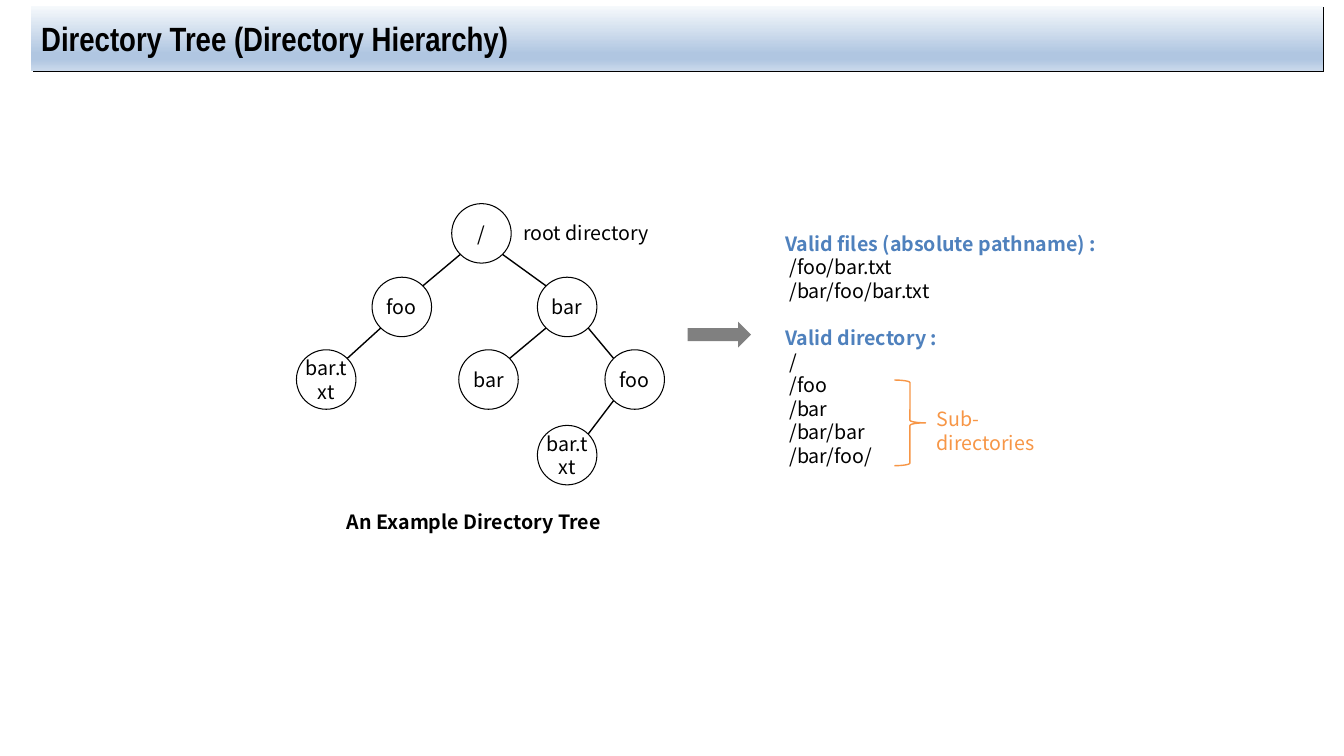
from dataclasses import dataclass
from math import sqrt

from lxml.etree import SubElement
from pptx import Presentation
from pptx.dml.color import RGBColor as RGB
from pptx.enum.shapes import MSO_CONNECTOR as LINK, MSO_SHAPE as FORM
from pptx.enum.text import MSO_ANCHOR as ANCHOR, PP_ALIGN as ALIGN
from pptx.oxml import parse_xml
from pptx.oxml.ns import nsdecls, qn
from pptx.util import Inches, Pt


@dataclass(frozen=True)
class Theme:
    black: str = "000000"
    white: str = "FFFFFF"
    blue: str = "4F81BD"
    orange: str = "F79646"
    gray: str = "808080"
    band: tuple = ((0, "F6F9FC"), (74, "B0C6E1"), (83, "B0C6E1"), (100, "CAD9EB"))
    font: str = "Noto Sans CJK KR"
    head: str = "Arial Narrow"
    size: int = 14
    title: int = 24
    thin: float = 0.75
    line: float = 1


T = Theme()
SIDE = 0.59
NODES = {
    "root": ("/", 4.48, 2.02),
    "foo": ("foo", 3.69, 2.75),
    "foo file": ("bar.txt", 2.94, 3.47),
    "bar": ("bar", 5.33, 2.75),
    "bar foo": ("foo", 6, 3.47),
    "bar bar": ("bar", 4.55, 3.47),
    "bar foo file": ("bar.txt", 5.33, 4.22),
}
EDGES = [
    ("root", "foo"), ("foo", "foo file"), ("bar", "bar bar"),
    ("bar foo", "bar foo file"), ("bar", "bar foo"), ("root", "bar"),
]
PATHS = {
    "Valid files (absolute pathname) :": ["/foo/bar.txt", "/bar/foo/bar.txt"],
    "Valid directory :": ["/", "/foo", "/bar", "/bar/bar", "/bar/foo/"],
}


def apply(item, form):
    for name, value in form.items():
        setattr(item, name, value)


def write(para, text, color=T.black, **form):
    run = para.add_run()
    run.text = text
    apply(run.font, {"name": T.font, "size": Pt(T.size), "bold": False, **form})
    run.font.color.rgb = RGB.from_string(color)


def add_form(slide, kind, box, fill=None, line=None, width=T.line):
    shape = slide.shapes.add_shape(kind, *map(Inches, box))
    shape.shadow.inherit = False
    if fill:
        shape.fill.solid()
        shape.fill.fore_color.rgb = RGB.from_string(fill)
    else:
        shape.fill.background()
    if line:
        shape.line.color.rgb = RGB.from_string(line)
        shape.line.width = Pt(width)
    else:
        shape.line.fill.background()
    return shape


def add_text(slide, box):
    frame = slide.shapes.add_textbox(*map(Inches, box)).text_frame
    frame.word_wrap = True
    return frame


def add_label(slide, box, text, color=T.black, align=ALIGN.LEFT, **form):
    para = add_text(slide, box).paragraphs[0]
    para.alignment = align
    write(para, text, color, **form)


def add_title(slide, text):
    bar = add_form(slide, FORM.RECTANGLE, (0.31, 0.06, 12.81, 0.64), T.white)
    stops = "".join(
        f'<a:gs pos="{pos * 1000}"><a:srgbClr val="{color}"/></a:gs>'
        for pos, color in T.band
    )
    grad = parse_xml(
        f'<a:gradFill {nsdecls("a")} rotWithShape="1"><a:gsLst>{stops}</a:gsLst>'
        '<a:lin ang="5400000" scaled="0"/></a:gradFill>'
    )
    props = bar._element.spPr
    props.replace(props.find(qn("a:solidFill")), grad)
    shade = SubElement(
        props.find(qn("a:effectLst")), qn("a:outerShdw"),
        dist=str(Pt(1.4)), dir="2700000", algn="ctr", rotWithShape="0",
    )
    SubElement(shade, qn("a:srgbClr"), val=T.black)
    frame = bar.text_frame
    frame.vertical_anchor = ANCHOR.MIDDLE
    para = frame.paragraphs[0]
    para.alignment = ALIGN.LEFT
    write(para, text, name=T.head, size=Pt(T.title), bold=True)


def add_node(slide, text, left, top):
    node = add_form(
        slide, FORM.OVAL, (left, top, SIDE, SIDE), T.white, T.black, T.thin
    )
    frame = node.text_frame
    apply(frame, {
        "margin_left": 0, "margin_right": 0,
        "vertical_anchor": ANCHOR.MIDDLE, "word_wrap": True,
    })
    frame.paragraphs[0].alignment = ALIGN.CENTER
    write(frame.paragraphs[0], text)


def add_edge(slide, upper, lower):
    _, left, top = NODES[upper]
    _, end, base = NODES[lower]
    mid = SIDE / 2
    reach = mid / sqrt(2)
    shift = reach if end > left else -reach
    points = (left + mid + shift, top + mid + reach,
              end + mid - shift, base + mid - reach)
    edge = slide.shapes.add_connector(LINK.STRAIGHT, *map(Inches, points))
    edge.line.color.rgb = RGB.from_string(T.black)
    edge.line.width = Pt(T.line)
    SubElement(edge._element.spPr, qn("a:effectLst"))


def add_paths(slide, box):
    frame = add_text(slide, box)
    for order, (head, paths) in enumerate(PATHS.items()):
        para = frame.add_paragraph() if order else frame.paragraphs[0]
        if order:
            para.space_before = Pt(T.size * 1.2)
        write(para, head, T.blue, bold=True)
        for text in paths:
            para = frame.add_paragraph()
            para._p.get_or_add_pPr().set("marL", str(Inches(0.04)))
            write(para, text)


def main():
    deck = Presentation()
    apply(deck, {"slide_width": Inches(13.33), "slide_height": Inches(7.5)})
    slide = deck.slides.add_slide(deck.slide_layouts[6])
    add_title(slide, "Directory Tree (Directory Hierarchy)")
    for node in NODES.values():
        add_node(slide, *node)
    for edge in EDGES:
        add_edge(slide, *edge)
    add_label(slide, (2.89, 5.01, 3.62, 0.34), "An Example Directory Tree",
              align=ALIGN.CENTER, bold=True)
    add_label(slide, (5.09, 2.14, 1.5, 0.34), "root directory")
    add_paths(slide, (7.69, 2.25, 3.39, 2.69))
    add_form(slide, FORM.RIGHT_ARROW, (6.82, 3.19, 0.63, 0.26), T.gray)
    add_form(slide, FORM.RIGHT_BRACE, (8.87, 3.77, 0.31, 0.85), line=T.orange)
    add_label(slide, (9.19, 3.99, 1.57, 0.34), "Sub-directories", T.orange)
    deck.save("out.pptx")


if __name__ == "__main__":
    main()
